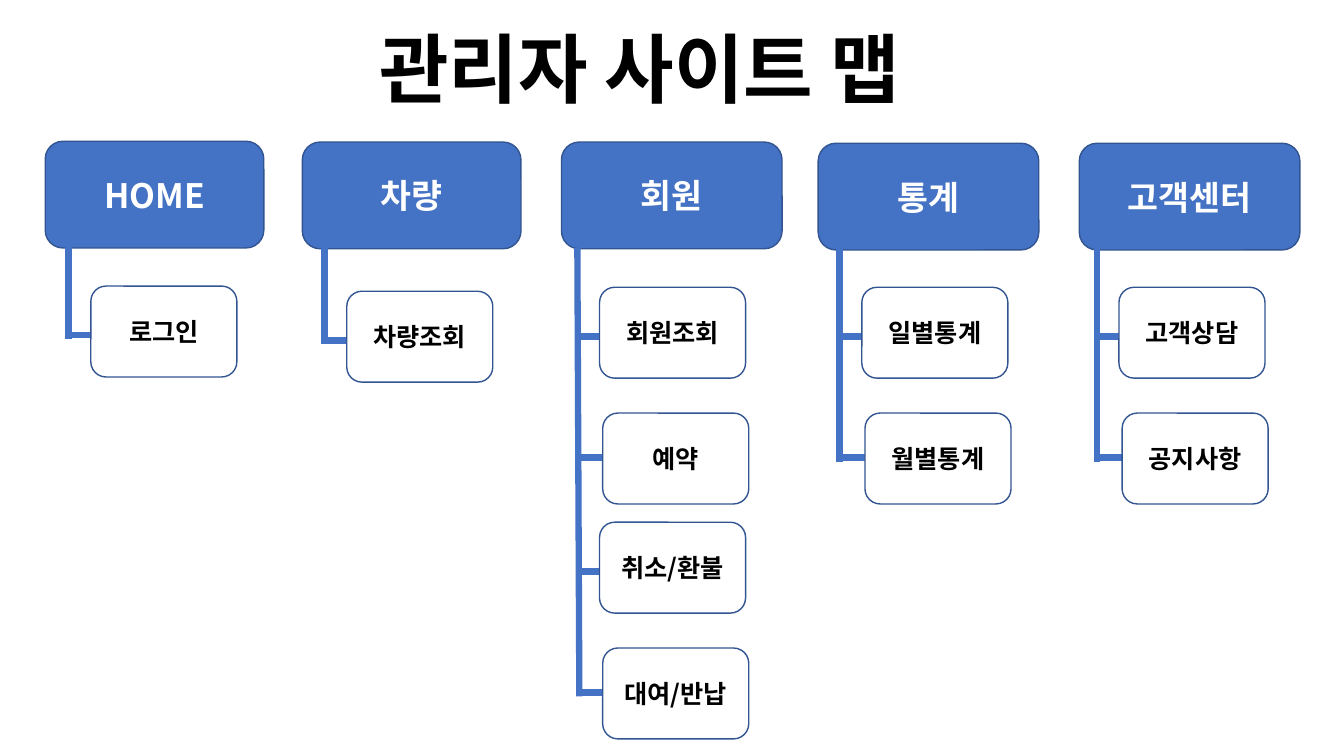
from dataclasses import dataclass

from lxml import etree
from pptx import Presentation
from pptx.dml.color import RGBColor
from pptx.enum.shapes import MSO_CONNECTOR, MSO_SHAPE
from pptx.enum.text import MSO_ANCHOR, MSO_AUTO_SIZE, PP_ALIGN
from pptx.oxml.ns import qn
from pptx.util import Cm, Pt

STRAIGHT = MSO_CONNECTOR.STRAIGHT
ROUNDED = MSO_SHAPE.ROUNDED_RECTANGLE
TOP, MIDDLE = MSO_ANCHOR.TOP, MSO_ANCHOR.MIDDLE
GROW = MSO_AUTO_SIZE.SHAPE_TO_FIT_TEXT
LEFT, CENTER = PP_ALIGN.LEFT, PP_ALIGN.CENTER

FONT = "Noto Sans CJK KR"
COLORS = {"blue": "4472C4", "outline": "325491", "white": "FFFFFF", "black": "000000"}

HEADER_HEIGHT = 2.69
PAGE_WIDTH, PAGE_HEIGHT = 3.68, 2.29
PAGE_INDENT = 0.56
PAIR_PITCH, PAGE_PITCH, BRANCH_PITCH = 5.92, 3.17, 3.05
BRANCH_DROP, BRANCH_LENGTH, TRUNK_OVERHANG = 1.24, 2.39, 0.1
SECOND_SHIFT = 0.08


@dataclass
class Section:
    """A menu of the site with the pages below it, in centimetres."""
    name: str
    left: float
    top: float
    width: float
    trunk_x: float
    trunk_top: float
    first_page_top: float
    pages: list
    trunk_lean: float = 0


SECTIONS = [
    Section("HOME", 1.14, 3.56, 5.51, 1.73, 6.02, 7.21, ["로그인"]),
    Section("차량", 7.62, 3.58, 5.51, 8.18, 6.15, 7.34, ["차량조회"]),
    Section("회원", 14.15, 3.58, 5.56, 14.55, 6.25, 7.24,
            ["회원조회", "예약", "취소/환불", "대여/반납"], trunk_lean=0.05),
    Section("통계", 20.62, 3.61, 5.56, 21.16, 6.25, 7.24, ["일별통계", "월별통계"]),
    Section("고객센터", 27.2, 3.61, 5.56, 27.64, 6.25, 7.24, ["고객상담", "공지사항"]),
]


def rgb(color):
    """Return the named colour."""
    return RGBColor.from_string(COLORS[color])


def write(frame, text, size=18, color="black", align=CENTER, anchor=MIDDLE):
    """Put one bold line of text into a text frame."""
    frame.word_wrap = True
    frame.vertical_anchor = anchor
    paragraph = frame.paragraphs[0]
    paragraph.alignment = align
    run = paragraph.add_run()
    run.text = text
    run.font.size = Pt(size)
    run.font.bold = True
    run.font.color.rgb = rgb(color)
    run.font.name = FONT
    etree.SubElement(run.font._element, qn("a:ea"), typeface=FONT)


class SiteMap:
    """Draws the parts of a site map on one slide."""

    def __init__(self, slide):
        """Keep the slide and the line widths."""
        self.slide = slide
        self.outline_width = Pt(1)
        self.branch_width = Pt(4.5)

    def title(self, text, left, top, width, height):
        """Move and fill the title placeholder."""
        title = self.slide.shapes.title
        title.left, title.top = Cm(left), Cm(top)
        title.width, title.height = Cm(width), Cm(height)
        write(title.text_frame, text, size=54, align=LEFT, anchor=TOP)
        title.text_frame.auto_size = GROW

    def box(self, text, left, top, width, height, fill="white", **text_format):
        """Add a rounded box with a centred label."""
        box = self.slide.shapes.add_shape(ROUNDED, Cm(left), Cm(top), Cm(width), Cm(height))
        box.shadow.inherit = False
        box.fill.solid()
        box.fill.fore_color.rgb = rgb(fill)
        box.line.color.rgb = rgb("outline")
        box.line.width = self.outline_width
        write(box.text_frame, text, **text_format)

    def line(self, x1, y1, x2, y2):
        """Add a thick tree line."""
        line = self.slide.shapes.add_connector(STRAIGHT, Cm(x1), Cm(y1), Cm(x2), Cm(y2))
        line.line.color.rgb = rgb("blue")
        line.line.width = self.branch_width
        etree.SubElement(line._element.spPr, qn("a:effectLst"))

    def section(self, section):
        """Add a menu header and the tree of its pages."""
        self.box(section.name, section.left, section.top, section.width, HEADER_HEIGHT,
                 fill="blue", size=24, color="white")
        rows = [divmod(index, 2) for index in range(len(section.pages))]
        branches = [section.first_page_top + BRANCH_DROP + pair * PAIR_PITCH + second * BRANCH_PITCH
                    for pair, second in rows]
        self.line(section.trunk_x, section.trunk_top,
                  section.trunk_x + section.trunk_lean, branches[-1] + TRUNK_OVERHANG)
        for page, (pair, second), branch_y in zip(section.pages, rows, branches):
            branch_x = section.trunk_x + second * SECOND_SHIFT
            page_top = section.first_page_top + pair * PAIR_PITCH + second * PAGE_PITCH
            self.line(branch_x, branch_y, branch_x + BRANCH_LENGTH, branch_y)
            self.box(page, branch_x + PAGE_INDENT, page_top, PAGE_WIDTH, PAGE_HEIGHT)


def main():
    """Build the site map slide and save it."""
    presentation = Presentation()
    presentation.slide_width, presentation.slide_height = Cm(33.87), Cm(19.05)
    title_only = presentation.slide_layouts[5]
    site_map = SiteMap(presentation.slides.add_slide(title_only))
    site_map.title("관리자 사이트 맵", 9.3, 0.43, 17.07, 2.57)
    for section in SECTIONS:
        site_map.section(section)
    presentation.save("out.pptx")


if __name__ == "__main__":
    main()
